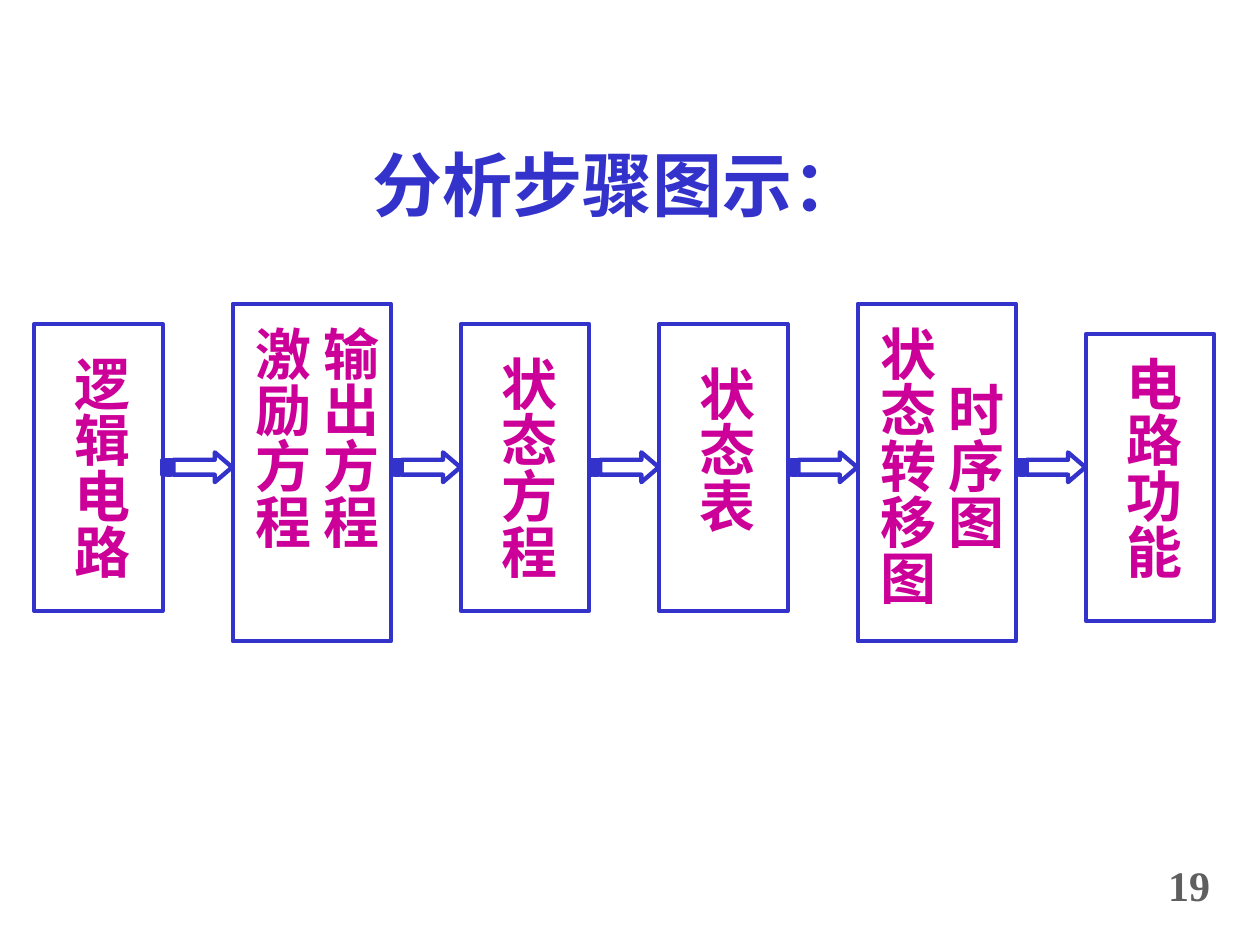
from pptx import Presentation
from pptx import util as u
from pptx.dml.color import RGBColor
from pptx.enum import shapes, text
from pptx.oxml.ns import qn

BLUE, MAGENTA, GRAY, WHITE = "3333CC", "CC0099", "5F5F5F", "FFFFFF"
CJK_FONT, LATIN_FONT = "Noto Sans CJK SC", "Times New Roman"


def write(shape, content, *, size, color, font=LATIN_FONT, align=text.PP_ALIGN.CENTER,
          anchor=text.MSO_ANCHOR.MIDDLE, spacing=1.0, before=0, vertical=False):
    """Fill a shape with one paragraph per line; vertical columns run right to left."""
    frame = shape.text_frame
    frame.text = content
    frame.word_wrap = True
    frame.auto_size = text.MSO_AUTO_SIZE.NONE
    frame.vertical_anchor = anchor
    wide, narrow = u.Cm(0.25), u.Cm(0.13)
    across, along = (narrow, wide) if vertical else (wide, narrow)
    frame.margin_left = frame.margin_right = across
    frame.margin_top = frame.margin_bottom = along
    if vertical:
        frame._txBody.bodyPr.set("vert", "eaVert")
    for index, paragraph in enumerate(frame.paragraphs):
        paragraph.alignment = align
        paragraph.line_spacing = spacing
        paragraph.space_before = u.Pt(before if index else 0)
        for run in paragraph.runs:
            run.font.name = font
            run.font.size = u.Pt(size)
            run.font.bold = True
            run.font.color.rgb = RGBColor.from_string(color)
            east_asian = run.font._element.makeelement(qn("a:ea"), {"typeface": CJK_FONT})
            run.font._element.find(qn("a:latin")).addnext(east_asian)


def outline(shape, width):
    shape.shadow.inherit = False
    shape.fill.solid()
    shape.fill.fore_color.rgb = RGBColor.from_string(WHITE)
    shape.line.color.rgb = RGBColor.from_string(BLUE)
    shape.line.width = u.Pt(width)


presentation = Presentation()
presentation.slide_width, presentation.slide_height = u.Cm(25.4), u.Cm(19.05)
slide = presentation.slides.add_slide(presentation.slide_layouts[5])

title = slide.shapes.title
title.left, title.top, title.width, title.height = u.Cm(5.9), u.Cm(2.72), u.Cm(13.1), u.Cm(1.95)
write(title, "分析步骤图示：", size=40, color=BLUE, font=CJK_FONT)

number = slide.shapes.add_textbox(u.Cm(23.3), u.Cm(17.32), u.Cm(1.6), u.Cm(1.17))
write(number, "19", size=24, color=GRAY, align=text.PP_ALIGN.LEFT,
      anchor=text.MSO_ANCHOR.TOP, spacing=0.9)

# Steps in centimetres: label, box top, text top, text height
steps = [
    ("逻辑电路", 6.53, 6.93, 5.21),
    ("输出方程\n激励方程", 6.12, 6.32, 6.2),
    ("状态方程", 6.53, 6.93, 5.21),
    ("状态表", 6.53, 7.14, 4.65),
    ("时序图\n状态转移图", 6.12, 6.32, 6.2),
    ("电路功能", 6.73, 6.93, 5.41),
]
GAP = 1.41
left = 0.69
arrow_lefts = []
for label, top, text_top, text_height in steps:
    double = "\n" in label
    width, height = (3.19, 6.81) if double else (2.59, 5.79)
    inset, text_width = (0.33, 2.18) if double else (0.41, 1.85)
    box = slide.shapes.add_shape(shapes.MSO_SHAPE.RECTANGLE,
                                 u.Cm(left), u.Cm(top), u.Cm(width), u.Cm(height))
    outline(box, 2.25)
    column = slide.shapes.add_textbox(u.Cm(left + inset), u.Cm(text_top),
                                      u.Cm(text_width), u.Cm(text_height))
    write(column, label, size=32, color=MAGENTA, vertical=True,
          spacing=0.5 if double else 1.0, before=20)
    arrow_lefts.append(left + width)
    left += width + GAP

# Striped arrow: x from its tail, y from its axis, stripes in 1/32 of its length
LENGTH, HEAD, HALF_SHAFT, HALF_HEAD, AXIS = 1.4, 0.35, 0.15, 0.3, 9.42
neck = LENGTH - HEAD
unit = LENGTH / 32
contours = [[(5 * unit, -HALF_SHAFT), (neck, -HALF_SHAFT), (neck, -HALF_HEAD), (LENGTH, 0),
             (neck, HALF_HEAD), (neck, HALF_SHAFT), (5 * unit, HALF_SHAFT)]]
for start, end in [(0, unit), (2 * unit, 4 * unit)]:
    contours.append([(start, -HALF_SHAFT), (end, -HALF_SHAFT),
                     (end, HALF_SHAFT), (start, HALF_SHAFT)])

for tail in arrow_lefts[:-1]:
    builder = None
    for contour in contours:
        points = [(u.Cm(tail + x), u.Cm(AXIS + y)) for x, y in contour]
        if builder is None:
            builder = slide.shapes.build_freeform(*points[0])
        else:
            builder.move_to(*points[0])
        builder.add_line_segments(points[1:], close=True)
    outline(builder.convert_to_shape(), 2.5)

presentation.save("out.pptx")
